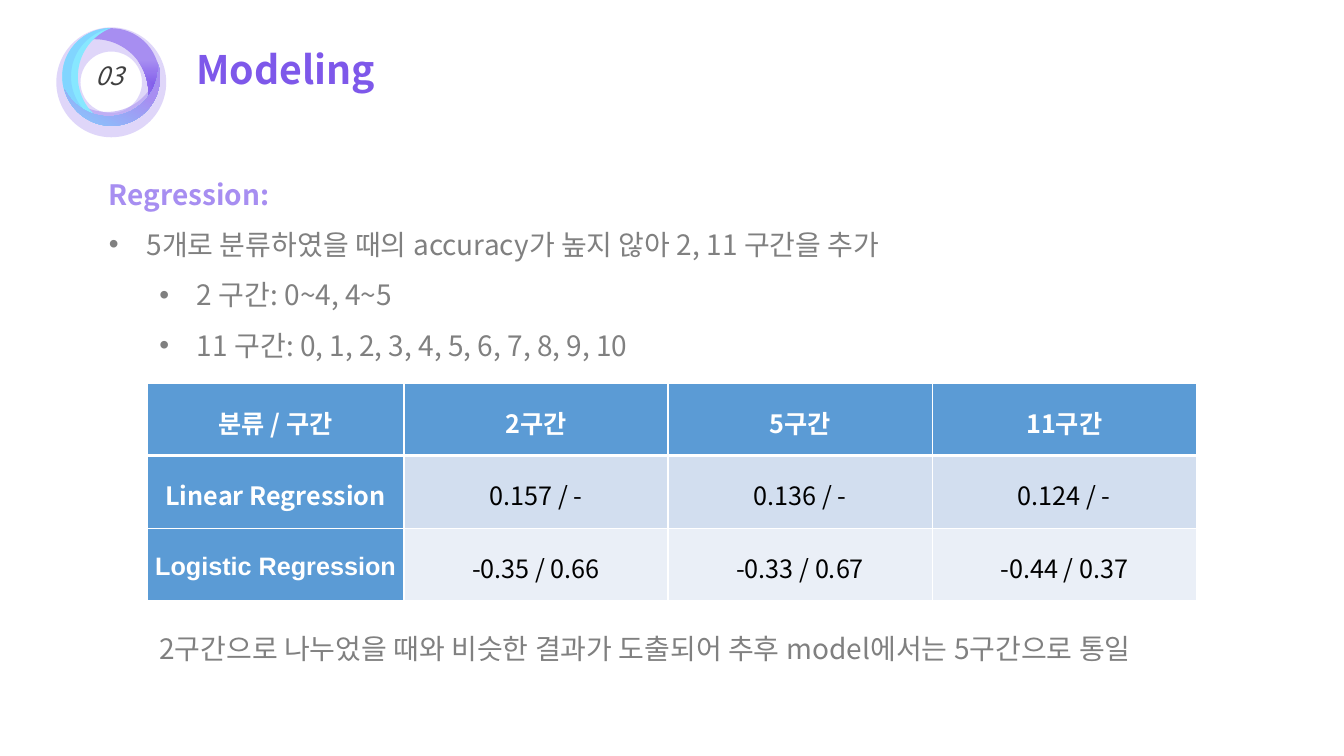
from lxml.etree import SubElement
from pptx import Presentation
from pptx.dml.color import RGBColor
from pptx.enum.shapes import MSO_SHAPE
from pptx.enum.text import MSO_ANCHOR, MSO_AUTO_SIZE, PP_ALIGN
from pptx.oxml.ns import qn
from pptx.util import Cm, Pt

VIOLET = RGBColor(0x7E, 0x58, 0xEA)
LAVENDER = RGBColor(0xA7, 0x8E, 0xF1)
CYAN = RGBColor(0x87, 0xE7, 0xFF)
SKY = RGBColor(0x81, 0xD5, 0xFF)
CHARCOAL = RGBColor(0x40, 0x40, 0x40)
GRAY = RGBColor(0x80, 0x80, 0x80)
BLUE = RGBColor(0x5B, 0x9B, 0xD5)
BAND_DARK = RGBColor(0xD2, 0xDE, 0xEF)
BAND_LIGHT = RGBColor(0xEA, 0xEF, 0xF7)
WHITE = RGBColor(0xFF, 0xFF, 0xFF)
BLACK = RGBColor(0, 0, 0)
KOREAN_FONT = "Noto Sans CJK KR"

FINDINGS = [
    ("5개로 분류하였을 때의 accuracy가 높지 않아 2, 11 구간을 추가", 0),
    ("2 구간: 0~4, 4~5", 1),
    ("11 구간: 0, 1, 2, 3, 4, 5, 6, 7, 8, 9, 10", 1),
]
CONCLUSION = "2구간으로 나누었을 때와 비슷한 결과가 도출되어 추후 model에서는 5구간으로 통일"
SCORES = [
    ["분류 / 구간", "2구간", "5구간", "11구간"],
    ["Linear Regression", "0.157 / -", "0.136 / -", "0.124 / -"],
    ["Logistic Regression", "-0.35 / 0.66", "-0.33 / 0.67", "-0.44 / 0.37"],
]


def add_run(paragraph, text, size, color, bold=False, italic=False, font=KOREAN_FONT):
    """Add one run with its own font, for Latin and Korean letters alike."""
    run = paragraph.add_run()
    run.text = text
    run.font.size = Pt(size)
    run.font.bold = bold
    run.font.italic = italic
    run.font.color.rgb = color
    run.font.name = font
    SubElement(run.font._element, qn("a:ea"), typeface=font)


def place(shape, box):
    """Move a shape to a box of left, top, width and height in centimetres."""
    shape.left, shape.top, shape.width, shape.height = (Cm(side) for side in box)


def set_frame(frame, wrap=True):
    """Fix the size and top alignment of a text frame."""
    frame.auto_size = MSO_AUTO_SIZE.NONE
    frame.vertical_anchor = MSO_ANCHOR.TOP
    frame.word_wrap = wrap


def set_line(paragraph, indent=0, hanging=0, bullet=False):
    """Give a paragraph its indents, bullet and line spacing."""
    properties = paragraph._p.get_or_add_pPr()
    properties.set("marL", str(Cm(indent)))
    properties.set("indent", str(-Cm(hanging)))
    if bullet:
        SubElement(properties, qn("a:buFont"), typeface="Arial")
        SubElement(properties, qn("a:buChar"), char="•")
    else:
        SubElement(properties, qn("a:buNone"))
    paragraph.alignment = PP_ALIGN.LEFT
    paragraph.line_spacing = 1.5
    paragraph.space_before = Pt(0)


def fill_solid(shape, color, opacity=100):
    """Fill a shape with one colour, see-through below 100 percent."""
    shape.fill.solid()
    shape.fill.fore_color.rgb = color
    if opacity < 100:
        tint = shape._element.spPr.find(".//" + qn("a:srgbClr"))
        SubElement(tint, qn("a:alpha"), val=str(opacity * 1000))


def fill_gradient(shape, stops, from_corner=False):
    """Fill a shape with a diagonal gradient, or one spreading from its corner."""
    shape.fill.gradient()
    shape.fill.gradient_angle = 315
    for stop, (position, color) in zip(shape.fill.gradient_stops, stops):
        stop.position = position
        stop.color.rgb = color
    if from_corner:
        gradient = shape._element.spPr.find(qn("a:gradFill"))
        gradient.remove(gradient.find(qn("a:lin")))
        spread = SubElement(gradient, qn("a:path"), path="rect")
        SubElement(spread, qn("a:fillToRect"), l="100000", t="100000")


def add_badge(slide, box, number):
    """Draw the ring of crescents with the section number inside."""
    left, top, width, height = box
    ring_parts = slide.shapes.add_group_shape().shapes

    def add_part(kind, part_box, thickness, rotation=0):
        part = ring_parts.add_shape(kind, *(Cm(side) for side in part_box))
        part.adjustments[0] = thickness
        part.rotation = rotation
        part.shadow.inherit = False
        part.line.fill.background()
        return part

    def add_crescent(dx, dy, thickness, rotation=0):
        crescent_box = (left + dx, top + dy, 1.22, 2.44)
        return add_part(MSO_SHAPE.MOON, crescent_box, thickness, rotation)

    fill_solid(add_part(MSO_SHAPE.DONUT, box, 0.22), LAVENDER, 36)
    fill_solid(add_crescent(0.94, 0.63, 0.3, 255), LAVENDER, 54)
    fill_gradient(add_crescent(1.2, -0.41, 0.366, 135), [(0.43, VIOLET), (1, LAVENDER)], True)
    fill_solid(add_crescent(0.15, 0.02, 0.322), CYAN)
    fill_solid(add_crescent(0.15, 0.02, 0.18), SKY)
    fill_gradient(add_crescent(0.94, 0.63, 0.204, 255), [(0, SKY), (0.66, LAVENDER)])

    label = slide.shapes.add_textbox(Cm(left + 0.74), Cm(top + 0.71), Cm(1.22), Cm(1.02))
    set_frame(label.text_frame, wrap=False)
    add_run(label.text_frame.paragraphs[0], number, 18, CHARCOAL, italic=True)


def add_heading(slide, box, text):
    """Write the slide title."""
    heading = slide.shapes.title
    place(heading, box)
    set_frame(heading.text_frame)
    line = heading.text_frame.paragraphs[0]
    set_line(line)
    add_run(line, text, 28, VIOLET, bold=True)


def add_findings(slide, box):
    """Write the topic and its bulleted findings."""
    findings = slide.placeholders[1]
    place(findings, box)
    frame = findings.text_frame
    set_frame(frame)
    topic = frame.paragraphs[0]
    set_line(topic)
    add_run(topic, "Regression:", 20, LAVENDER, bold=True)
    for text, level in FINDINGS:
        finding = frame.add_paragraph()
        finding.level = level
        set_line(finding, 0.95 + 1.27 * level, 0.95, bullet=True)
        add_run(finding, text, 20, GRAY)


def add_conclusion(slide, box):
    """Write the closing sentence below the table."""
    conclusion = slide.shapes.add_textbox(*(Cm(side) for side in box))
    set_frame(conclusion.text_frame)
    line = conclusion.text_frame.paragraphs[0]
    set_line(line)
    add_run(line, CONCLUSION, 20, GRAY)


def add_border(cell, side, points):
    """Draw one white side of a cell."""
    border = SubElement(cell._tc.get_or_add_tcPr(), qn("a:" + side), w=str(Pt(points)))
    ink = SubElement(border, qn("a:solidFill"))
    SubElement(ink, qn("a:srgbClr"), val=str(WHITE))


def add_scores(slide, box):
    """Lay out the table of regression scores."""
    sides = (Cm(side) for side in box)
    scores = slide.shapes.add_table(len(SCORES), len(SCORES[0]), *sides).table
    label_width = 6.47
    score_width = (box[2] - label_width) / (len(SCORES[0]) - 1)
    for index, column in enumerate(scores.columns):
        column.width = Cm(score_width if index else label_width)
    for r, values in enumerate(SCORES):
        for c, value in enumerate(values):
            cell = scores.cell(r, c)
            is_label = r == 0 or c == 0
            thickness = {"lnL": 1, "lnR": 1, "lnT": 3 if r == 1 else 1, "lnB": 1 if r else 3}
            for side, points in thickness.items():
                add_border(cell, side, points)
            cell.fill.solid()
            band = BAND_DARK if r == 1 else BAND_LIGHT
            cell.fill.fore_color.rgb = BLUE if is_label else band
            cell.vertical_anchor = MSO_ANCHOR.MIDDLE
            cell.margin_left = cell.margin_right = Cm(0.18)
            cell.margin_top = cell.margin_bottom = 0
            line = cell.text_frame.paragraphs[0]
            line.alignment = PP_ALIGN.CENTER
            line.line_spacing = 1.15
            line.space_after = Pt(10)
            font = "Arial" if value == "Logistic Regression" else KOREAN_FONT
            add_run(line, value, 18, WHITE if is_label else BLACK, bold=is_label, font=font)


def main():
    """Build the modeling slide and save it."""
    deck = Presentation()
    deck.slide_width, deck.slide_height = Cm(33.87), Cm(19.05)
    slide = deck.slides.add_slide(deck.slide_layouts[1])
    add_heading(slide, (4.7, 0.43, 10.52, 1.83), "Modeling")
    add_badge(slide, (1.42, 0.69, 2.77, 2.77), "03")
    add_scores(slide, (3.71, 9.65, 26.44, 5.49))
    add_findings(slide, (2.49, 3.91, 29.77, 5.6))
    add_conclusion(slide, (3.76, 15.37, 28.5, 1.6))
    deck.save("out.pptx")


if __name__ == "__main__":
    main()
